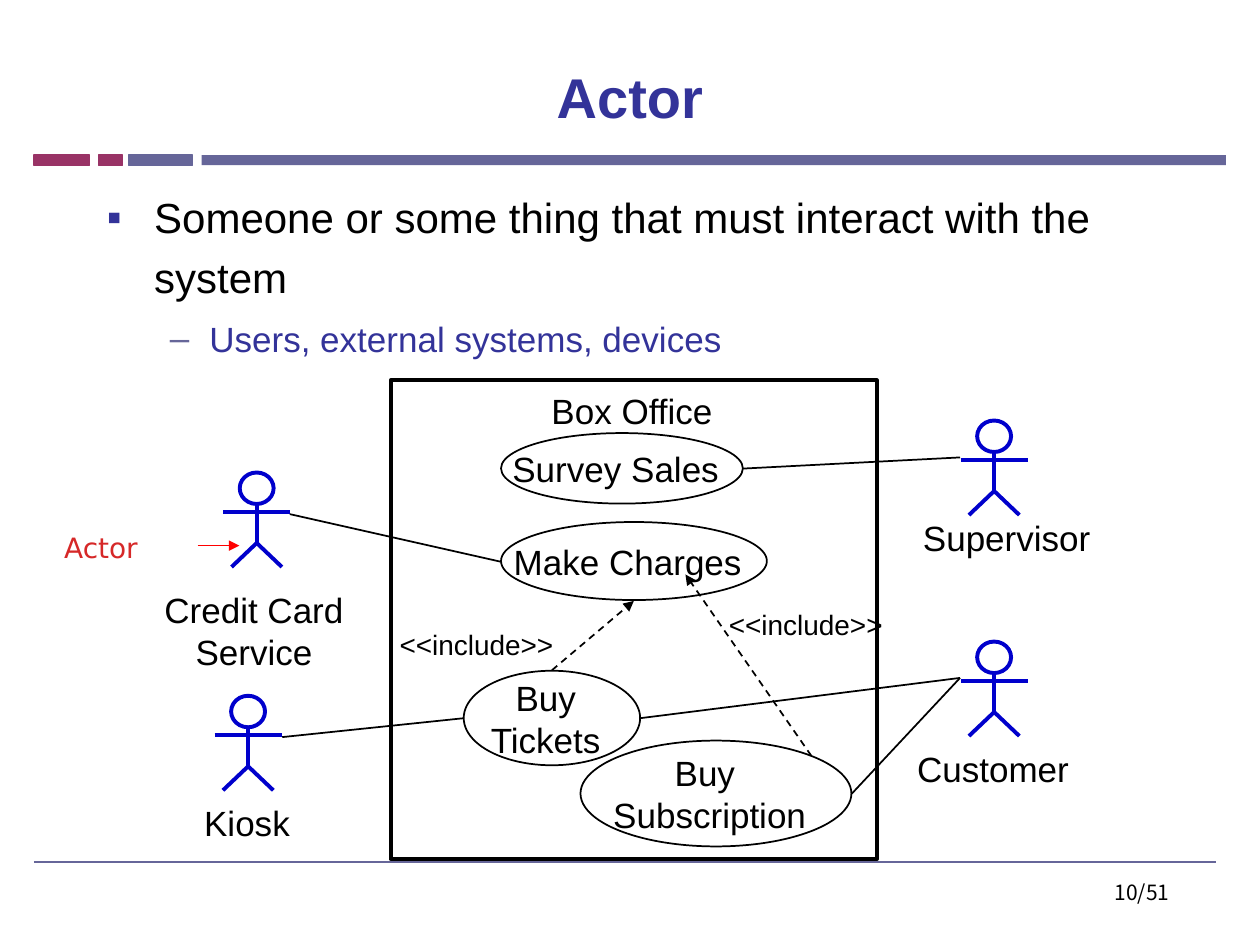
import pptx
import pptx.dml.color
import pptx.enum.dml
import pptx.enum.shapes
import pptx.enum.text
import pptx.oxml
import pptx.oxml.ns
import pptx.util

Pt = pptx.util.Pt
Preset = pptx.enum.shapes.MSO_SHAPE
Align = pptx.enum.text.PP_ALIGN
Anchor = pptx.enum.text.MSO_ANCHOR

INK, NAVY, SLATE, WINE = "000000", "333399", "666699", "993366"
FIGURE_BLUE = "0000CC"
LABEL_INSETS = (0, 3.6, 7.2, 3.6)
BOX_INSETS = (7.2, 3.6, 7.2, 3.6)


def color(code):
    return pptx.dml.color.RGBColor.from_string(code)


def add_xml(parent, markup):
    namespace = pptx.oxml.ns.nsdecls("a")
    parent.append(pptx.oxml.parse_xml(markup.replace("/>", f" {namespace}/>", 1)))


def write(para, text, size=20, font="Arial", ink=INK, bold=False, align=Align.CENTER):
    """Fill one paragraph; a newline becomes a line break."""
    para.alignment = align
    for number, line in enumerate(text.split("\n")):
        if number:
            para.add_line_break()
        span = para.add_run()
        span.text = line
        span.font.size = Pt(size)
        span.font.name = font
        span.font.bold = bold
        span.font.color.rgb = color(ink)


def set_frame(frame, insets, anchor, wrap):
    frame.margin_left, frame.margin_top, frame.margin_right, frame.margin_bottom = map(Pt, insets)
    frame.vertical_anchor = anchor
    frame.word_wrap = wrap


class Painter:
    """Draws elements on one slide; all lengths are in points."""

    def __init__(self, slide):
        self.slide = slide

    def shape(self, preset, left, top, width, height, fill=None, line=None, weight=1, shapes=None):
        shapes = self.slide.shapes if shapes is None else shapes
        shape = shapes.add_shape(preset, Pt(left), Pt(top), Pt(width), Pt(height))
        shape.shadow.inherit = False
        if fill:
            shape.fill.solid()
            shape.fill.fore_color.rgb = color(fill)
        else:
            shape.fill.background()
        if line:
            shape.line.color.rgb = color(line)
            shape.line.width = Pt(weight)
        else:
            shape.line.fill.background()
        return shape

    def line(self, x1, y1, x2, y2, ink=INK, weight=1, dashed=False, arrow=False, shapes=None):
        shapes = self.slide.shapes if shapes is None else shapes
        line = shapes.add_connector(
            pptx.enum.shapes.MSO_CONNECTOR.STRAIGHT, Pt(x1), Pt(y1), Pt(x2), Pt(y2))
        line.line.color.rgb = color(ink)
        line.line.width = Pt(weight)
        if dashed:
            line.line.dash_style = pptx.enum.dml.MSO_LINE.DASH
        properties = line._element.spPr
        if arrow:
            add_xml(properties.find(pptx.oxml.ns.qn("a:ln")), '<a:tailEnd type="triangle"/>')
        add_xml(properties, "<a:effectLst/>")

    def box(self, left, top, width, height, insets=LABEL_INSETS, anchor=Anchor.TOP):
        box = self.slide.shapes.add_textbox(Pt(left), Pt(top), Pt(width), Pt(height))
        set_frame(box.text_frame, insets, anchor, True)
        return box.text_frame

    def label(self, text, left, top, width, height, insets=LABEL_INSETS, anchor=Anchor.TOP, **style):
        write(self.box(left, top, width, height, insets, anchor).paragraphs[0], text, **style)

    def bullets(self, left, top, width, height, items):
        frame = self.box(left, top, width, height, BOX_INSETS)
        for number, (text, level, indent, hanging, mark, mark_ink, style) in enumerate(items):
            para = frame.add_paragraph() if number else frame.paragraphs[0]
            write(para, text, align=Align.LEFT, **style)
            para.level = level
            para.line_spacing = 1.2
            para.space_before = Pt(style["size"] * 0.2 if number else 0)
            properties = para._p.get_or_add_pPr()
            properties.set("marL", str(Pt(indent)))
            properties.set("indent", str(-Pt(hanging)))
            add_xml(properties, "<a:buClr/>")
            add_xml(properties[-1], f'<a:srgbClr val="{mark_ink}"/>')
            add_xml(properties, '<a:buFont typeface="Arial"/>')
            add_xml(properties, f'<a:buChar char="{mark}"/>')

    def use_case(self, text, left, top, width, height):
        oval = self.shape(Preset.OVAL, left, top, width, height, line=INK)
        set_frame(oval.text_frame, LABEL_INSETS, Anchor.MIDDLE, False)
        write(oval.text_frame.paragraphs[0], text)

    def actor(self, x, top):
        """Stick figure centred on x."""
        shapes = self.slide.shapes.add_group_shape().shapes
        pen = dict(weight=2.25, shapes=shapes)
        self.shape(Preset.OVAL, x - 9.7, top, 19.4, 18, line=FIGURE_BLUE, **pen)
        hip = top + 40.3
        limbs = [(x - 19.2, top + 22.5, x + 19.2, top + 22.5), (x, top + 18, x, hip),
                 (x, hip, x - 14.4, top + 54), (x, hip, x + 14.4, top + 54)]
        for limb in limbs:
            self.line(*limb, ink=FIGURE_BLUE, **pen)


def main():
    deck = pptx.Presentation()
    deck.slide_width, deck.slide_height = Pt(720), Pt(540)
    painter = Painter(deck.slides.add_slide(deck.slide_layouts[6]))

    for left, width, ink, edge in [(115.2, 585.4, SLATE, None), (19.4, 31.7, WINE, WINE),
                                   (73.4, 36.7, SLATE, SLATE), (56.2, 13.7, WINE, WINE)]:
        painter.shape(Preset.RECTANGLE, left, 88.6, width, 5.8, fill=ink, line=edge, weight=0.75)
    painter.line(19.4, 492.5, 694.8, 492.5, ink=SLATE)
    painter.label("10/51", 507.6, 499, 167.8, 37.4, BOX_INSETS,
                  size=12, font="Noto Sans CJK KR", align=Align.RIGHT)

    painter.label("Actor", 36, 21.6, 648, 67, BOX_INSETS, Anchor.MIDDLE,
                  size=32, ink=NAVY, bold=True)
    painter.bullets(54, 100.1, 646.6, 380.2, [
        ("Someone or some thing that must interact with the system",
         0, 27, 27, "▪", NAVY, dict(size=24)),
        ("Users, external systems, devices",
         1, 58.5, 22.5, "–", SLATE, dict(size=20, ink=NAVY)),
    ])

    painter.line(113, 311.8, 136.8, 311.8, ink="FF0000", weight=0.75, arrow=True)
    painter.label("Actor", 36.7, 303.1, 76.3, 19.4, (0, 0, 0, 0),
                  size=16, font="DejaVu Sans", ink="D62828", align=Align.LEFT)

    painter.shape(Preset.RECTANGLE, 223.2, 217.4, 277.9, 273.6, line=INK, weight=2.25)
    painter.label("Box Office", 280.8, 218.9, 167.8, 31)
    for use_case in [("Survey Sales", 286.3, 247.5, 138.2, 40.3),
                     ("Make Charges", 286.3, 298.3, 151.9, 44.6),
                     ("Buy\nTickets", 265, 383.3, 100.8, 54),
                     ("Buy \nSubscription", 331.7, 423.2, 154.8, 60.5)]:
        painter.use_case(*use_case)

    for include in [(315.4, 383, 362.2, 343.4), (463.7, 432, 391.7, 328.3)]:
        painter.line(*include, dashed=True, arrow=True)
    painter.label("<<include>>", 225.4, 355, 100.8, 26.6, size=16)
    painter.label("<<include>>", 414.7, 343.6, 98.6, 26.6, size=16)

    for x, top in [(146.7, 270), (568.1, 240.3), (568.1, 366.6), (141.8, 397.6)]:
        painter.actor(x, top)
    for name, left, top, width, height in [
            ("Credit Card Service", 64.8, 332.6, 167.8, 55.4),
            ("Supervisor", 519.8, 291.6, 118.1, 31),
            ("Customer", 520.6, 423.4, 100.8, 31),
            ("Kiosk", 94.3, 454.3, 100.8, 31)]:
        painter.label(name, left, top, width, height)

    for association in [(165.6, 293.8, 286.6, 321.1), (424.1, 267.8, 548.6, 261.4),
                        (548.6, 387.4, 365.8, 410.4), (548.6, 387.4, 486.7, 453.6),
                        (161.3, 421.2, 265, 410.4)]:
        painter.line(*association)

    deck.save("out.pptx")


if __name__ == "__main__":
    main()
